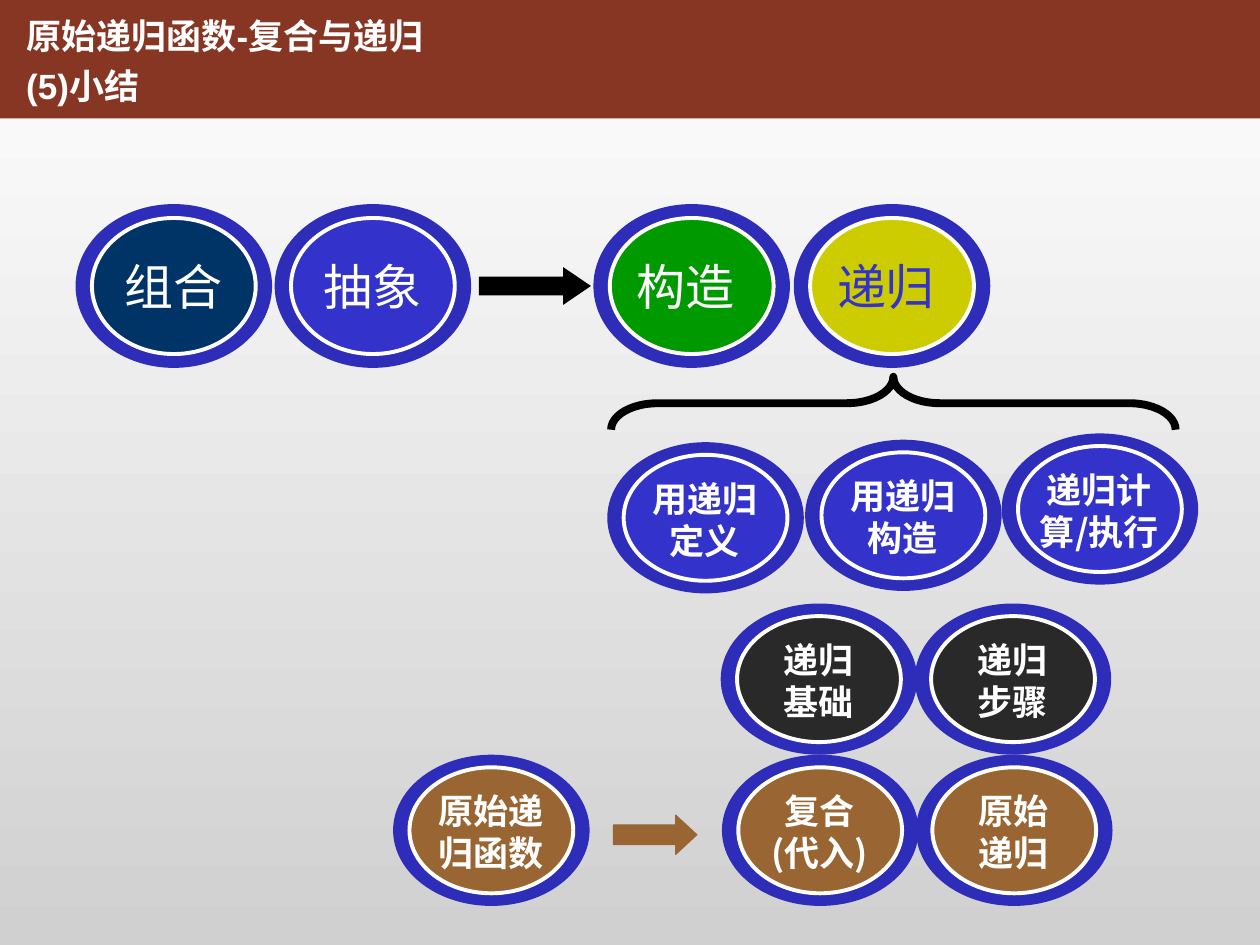
from pptx import Presentation
from pptx.dml.color import RGBColor
from pptx.enum.shapes import MSO_SHAPE
from pptx.enum.text import MSO_ANCHOR, MSO_AUTO_SIZE, PP_ALIGN
from pptx.oxml.ns import qn
from pptx.util import Inches, Pt
from lxml.etree import SubElement

COLUMNS, ROWS = 100, 75


def color(value):
    return RGBColor.from_string(value)


class Sketch:
    latin, asian = "Arial", "Noto Sans CJK SC"
    white, black, ring, blue = "FFFFFF", "000000", "2D2DB9", "3333CC"

    def __init__(self):
        self.deck = Presentation()
        self.deck.slide_width, self.deck.slide_height = Inches(10), Inches(7.5)
        self.page = self.deck.slides.add_slide(self.deck.slide_layouts[6])

    def place(self, left, top, width, height):
        across = self.deck.slide_width / COLUMNS
        down = self.deck.slide_height / ROWS
        return [round(left * across), round(top * down), round(width * across), round(height * down)]

    def background(self, start, end):
        fill = self.page.background.fill
        fill.gradient()
        fill.gradient_angle = 270
        for stop, value in zip(fill.gradient_stops, (start, end)):
            stop.color.rgb = color(value)

    def shape(self, kind, area, fill=None, line=None, weight=0.75, adjust=(), parent=None):
        shape = (parent or self.page).shapes.add_shape(kind, *self.place(*area))
        shape.shadow.inherit = False
        for index, value in enumerate(adjust):
            shape.adjustments[index] = value
        if fill:
            shape.fill.solid()
            shape.fill.fore_color.rgb = color(fill)
        else:
            shape.fill.background()
        if line:
            shape.line.color.rgb = color(line)
            shape.line.width = Pt(weight)
        else:
            shape.line.fill.background()
        return shape

    def text(self, area, lines, size, font, ink, bold=True, align=PP_ALIGN.CENTER,
             spacing=1.0, wrap=True, parent=None):
        box = (parent or self.page).shapes.add_textbox(*self.place(*area))
        frame = box.text_frame
        frame.word_wrap = wrap
        frame.auto_size = MSO_AUTO_SIZE.SHAPE_TO_FIT_TEXT
        frame.vertical_anchor = MSO_ANCHOR.TOP
        for index, line in enumerate(lines):
            para = frame.add_paragraph() if index else frame.paragraphs[0]
            para.alignment = align
            para.line_spacing = spacing
            span = para.add_run()
            span.text = line
            span.font.size = Pt(size)
            span.font.bold = bold
            span.font.name = font
            span.font.color.rgb = color(ink)
            SubElement(span.font._element, qn("a:ea")).set("typeface", self.asian)

    def bubble(self, left, top, lines, fill, large=False, ink=white):
        height, inset, drop, depth = (13, 1.1, 3.7, 5.7) if large else (12, 1, 2.3, 7.7)
        group = self.page.shapes.add_group_shape()
        self.shape(MSO_SHAPE.DONUT, (left, top, 15.6, height), self.ring,
                   adjust=[0.1], parent=group)
        self.shape(MSO_SHAPE.OVAL, (left + 1.3, top + inset, 13, height - 2 * inset),
                   fill, self.white, 2.25, parent=group)
        self.text((left + 1.3, top + drop, 12.9, depth), lines, 28 if large else 20,
                  self.asian, ink, bold=not large, parent=group)

    def arrow(self, area, fill, head, line=None):
        self.shape(MSO_SHAPE.RIGHT_ARROW, area, fill, line, adjust=[0.5, head])

    def brace(self, left, top, width, height):
        area = (left + (width - height) / 2, top + (height - width) / 2, height, width)
        brace = self.shape(MSO_SHAPE.LEFT_BRACE, area, line=self.black, weight=4.5, adjust=[0.88, 0.5])
        brace.rotation = 90


def main():
    sketch = Sketch()
    charcoal, brown = "292929", "996633"
    sketch.background("FFFFFF", "D0D0D0")
    sketch.shape(MSO_SHAPE.RECTANGLE, (0, 0, COLUMNS, 9.4), "873624")
    sketch.text((1.1, 0, 34.9, 9), ["原始递归函数-复合与递归", "(5)小结"], 20, sketch.latin,
                sketch.white, align=PP_ALIGN.LEFT, spacing=1.2, wrap=False)

    for left, word, fill, ink in [
        (6, "组合", "003366", sketch.white),
        (21.8, "抽象", sketch.blue, sketch.white),
        (47.1, "构造 ", "009900", sketch.white),
        (63, "递归 ", "CCCC00", sketch.blue),
    ]:
        sketch.bubble(left, 16.2, [word], fill, large=True, ink=ink)
    sketch.arrow((38, 21.2, 8.9, 3), sketch.black, 0.735)
    sketch.brace(48.5, 29.9, 44.8, 4.2)

    for left, top, lines, fill in [
        (48.2, 35.1, ["用递归定义"], sketch.blue),
        (63.9, 34.9, ["用递归构造"], sketch.blue),
        (79.5, 34.4, ["递归计算/执行"], sketch.blue),
        (57.2, 47.9, ["递归", "基础"], charcoal),
        (72.6, 47.9, ["递归", "步骤"], charcoal),
        (57.3, 59.9, ["复合", "(代入)"], brown),
        (72.7, 59.9, ["原始", "递归"], brown),
        (31.2, 59.9, ["原始递归函数"], brown),
    ]:
        sketch.bubble(left, top, lines, fill)
    sketch.arrow((48.7, 64.7, 6.6, 3.1), brown, 0.538, brown)
    sketch.deck.save("out.pptx")


if __name__ == "__main__":
    main()
